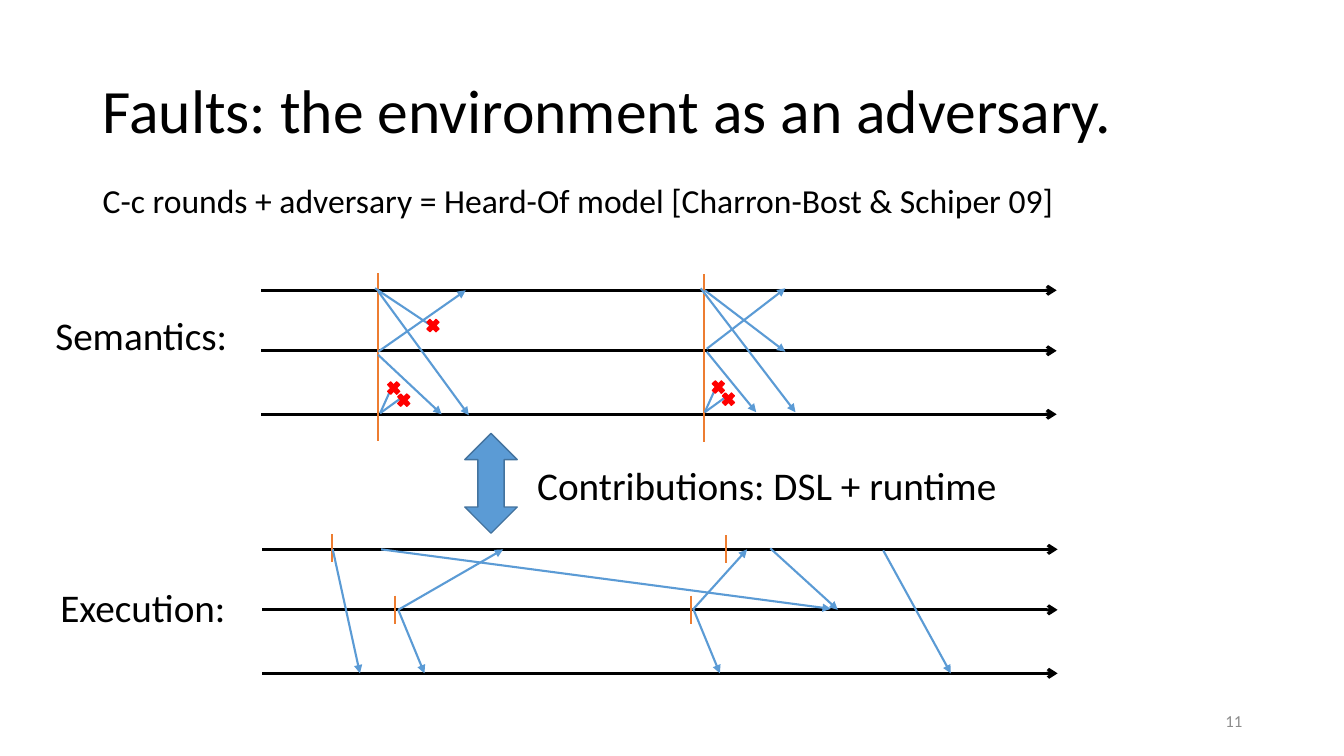
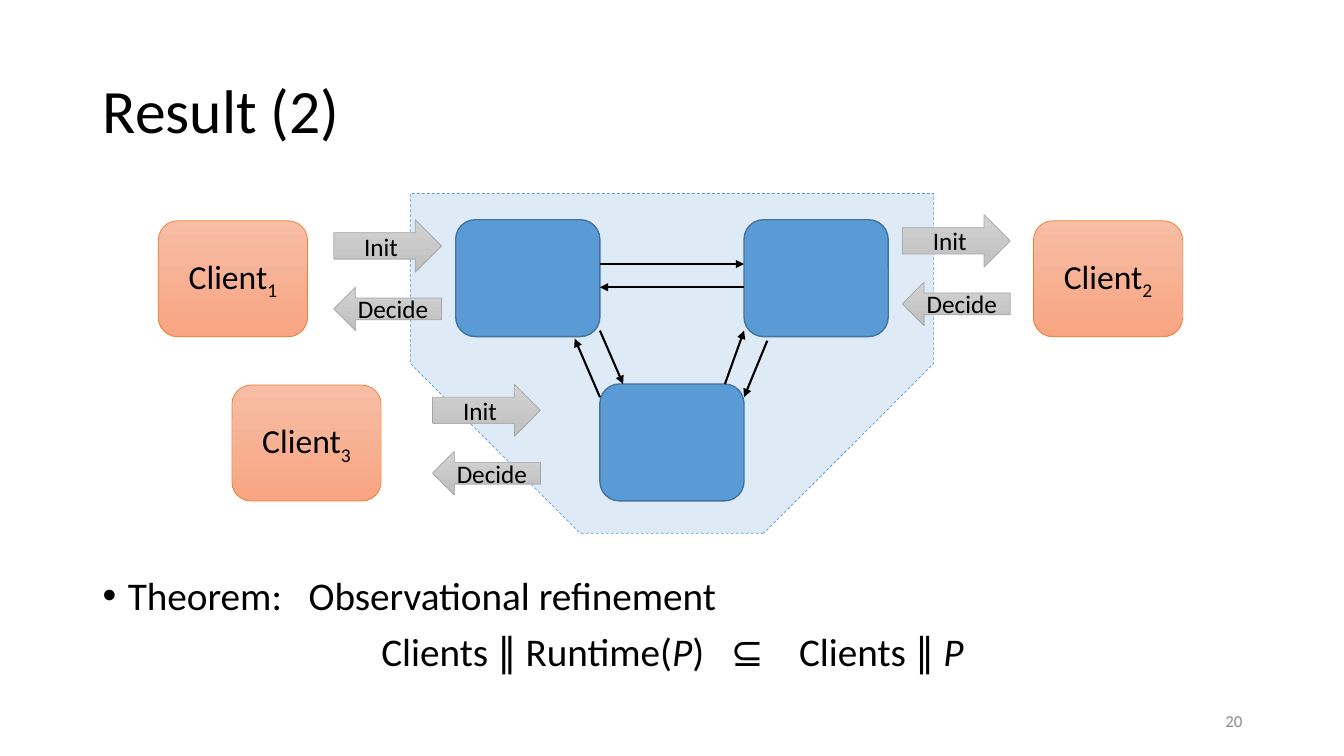
from lxml.etree import SubElement
from pptx import Presentation
from pptx.dml.color import RGBColor
from pptx.enum.dml import MSO_LINE
from pptx.enum.shapes import MSO_CONNECTOR, MSO_SHAPE
from pptx.enum.text import MSO_ANCHOR, MSO_AUTO_SIZE, PP_ALIGN
from pptx.oxml.ns import qn
from pptx.util import Inches, Pt

FONT = "Calibri"
BLACK = RGBColor(0x00, 0x00, 0x00)
GRAY = RGBColor(0x8C, 0x8C, 0x8C)
BLUE = RGBColor(0x5B, 0x9B, 0xD5)
DARK_BLUE = RGBColor(0x43, 0x73, 0x9E)
PALE_BLUE = RGBColor(0xDE, 0xEB, 0xF7)
ORANGE = RGBColor(0xED, 0x7D, 0x31)
RED = RGBColor(0xFF, 0x00, 0x00)
SILVER = RGBColor(0xA5, 0xA5, 0xA5)
CLIENT_FADE = (RGBColor(0xF7, 0xBD, 0xA5), RGBColor(0xF8, 0xA5, 0x82))
SIGNAL_FADE = (RGBColor(0xD2, 0xD2, 0xD2), RGBColor(0xC0, 0xC0, 0xC0))

ITALIC = {"i": "1"}
SUBSCRIPT = {"baseline": "-25000"}
NARROW_GAP = (" ", {"spc": "1270"})
WIDE_GAP = (" ", {"spc": "1900"})


def write(paragraph, pieces, size, color=BLACK, align=PP_ALIGN.LEFT):
    paragraph.alignment = align
    for text, marks in pieces:
        run = paragraph.add_run()
        run.text = text
        run.font.size = Pt(size)
        run.font.name = FONT
        run.font.color.rgb = color
        for mark, value in marks.items():
            run._r.get_or_add_rPr().set(mark, value)


def add_text(slide, box, paragraphs, size, color=BLACK, align=PP_ALIGN.LEFT,
             anchor=MSO_ANCHOR.TOP):
    frame = slide.shapes.add_textbox(*map(Inches, box)).text_frame
    frame.word_wrap = True
    frame.vertical_anchor = anchor
    for index, pieces in enumerate(paragraphs):
        paragraph = frame.add_paragraph() if index else frame.paragraphs[0]
        write(paragraph, pieces, size, color, align)
    return frame


def add_label(slide, box, text, size=28):
    frame = add_text(slide, box, [[(text, {})]], size)
    frame.word_wrap = False
    frame.auto_size = MSO_AUTO_SIZE.SHAPE_TO_FIT_TEXT


def add_figure(slide, preset, box, fill, outline, width=1.0):
    figure = slide.shapes.add_shape(preset, *map(Inches, box))
    figure.shadow.inherit = False
    if isinstance(fill, RGBColor):
        figure.fill.solid()
        figure.fill.fore_color.rgb = fill
    else:
        figure.fill.gradient()
        figure.fill.gradient_angle = 270
        for stop, color in zip(figure.fill.gradient_stops, fill):
            stop.color.rgb = color
    figure.line.color.rgb = outline
    figure.line.width = Pt(width)
    return figure


def add_caption(figure, pieces, size):
    frame = figure.text_frame
    frame.vertical_anchor = MSO_ANCHOR.MIDDLE
    write(frame.paragraphs[0], pieces, size, align=PP_ALIGN.CENTER)


def add_line(slide, ends, color, width=1.5, head=None):
    line = slide.shapes.add_connector(MSO_CONNECTOR.STRAIGHT, *map(Inches, ends))
    line.line.color.rgb = color
    line.line.width = Pt(width)
    if head:
        SubElement(line.line._get_or_add_ln(), qn("a:tailEnd"), type=head)
    SubElement(line._element.spPr, qn("a:effectLst"))


def add_messages(slide, messages, color=BLUE):
    for ends in messages:
        add_line(slide, ends, color, head="triangle")


def add_timelines(slide, left, top):
    for offset in (0, 0.6, 1.23):
        y = top + offset
        add_line(slide, (left, y, left + 7.89, y), BLACK, 2.25, "arrow")


def add_ticks(slide, ticks, height):
    for x, y in ticks:
        add_line(slide, (x, y, x, y + height), ORANGE)


def add_cross(slide, x, y):
    add_figure(slide, MSO_SHAPE.MATH_MULTIPLY, (x, y, 0.17, 0.18), RED, RED)


def add_lost_pair(slide, x, y):
    for dx, dy in ((0.09, 0.2), (0.22, 0.16)):
        add_line(slide, (x, y, x + dx, y - dy), BLUE)
    for dx, dy in ((0.15, 0.22), (0.05, 0.34)):
        add_cross(slide, x + dx, y - dy)


def add_client(slide, number, x, y):
    client = add_figure(slide, MSO_SHAPE.ROUNDED_RECTANGLE, (x, y, 1.48, 1.15),
                        CLIENT_FADE, ORANGE, 0.5)
    add_caption(client, [("Client", {}), (number, SUBSCRIPT)], 24)


def add_signals(slide, x, y):
    for preset, dy, height, text in ((MSO_SHAPE.RIGHT_ARROW, 0, 0.52, "Init"),
                                     (MSO_SHAPE.LEFT_ARROW, 0.67, 0.43, "Decide")):
        signal = add_figure(slide, preset, (x, y + dy, 1.07, height),
                            SIGNAL_FADE, SILVER, 0.5)
        add_caption(signal, [(text, {})], 18)


def start_slide(deck, title, number):
    slide = deck.slides.add_slide(deck.slide_layouts[6])
    heading = add_text(slide, (0.92, 0.4, 11.5, 1.45), [[(title, {})]], 44,
                       anchor=MSO_ANCHOR.MIDDLE)
    heading.paragraphs[0].line_spacing = 0.9
    add_text(slide, (9.42, 6.95, 3, 0.4), [[(number, {})]], 12, GRAY,
             PP_ALIGN.RIGHT, MSO_ANCHOR.MIDDLE)
    return slide


def build_faults(deck):
    slide = start_slide(deck, "Faults: the environment as an adversary.", "11")
    add_label(slide, (0.92, 1.74, 9.76, 0.5),
              "C-c rounds + adversary = Heard-Of model [Charron-Bost & Schiper 09]", 24)
    add_label(slide, (0.45, 3.04, 1.93, 0.57), "Semantics:")
    add_label(slide, (0.5, 5.74, 1.86, 0.57), "Execution:")
    add_label(slide, (5.23, 4.53, 4.81, 0.57), "Contributions: DSL + runtime")

    add_timelines(slide, 2.59, 2.88)
    add_ticks(slide, [(3.75, 2.71), (6.98, 2.72)], 1.67)
    add_messages(slide, [
        (3.75, 2.89, 4.65, 4.12), (3.75, 3.49, 4.62, 2.88),
        (3.75, 3.52, 4.38, 4.11), (6.95, 2.86, 7.89, 4.09),
        (7.01, 3.46, 7.79, 2.86), (7.01, 3.49, 7.5, 4.09),
        (6.99, 2.88, 7.79, 3.49)])
    add_line(slide, (3.72, 2.86, 4.29, 3.24), BLUE)
    add_cross(slide, 4.21, 3.14)
    add_lost_pair(slide, 3.77, 4.1)
    add_lost_pair(slide, 6.99, 4.09)

    add_figure(slide, MSO_SHAPE.UP_DOWN_ARROW, (4.61, 4.3, 0.52, 0.99), BLUE, DARK_BLUE)

    add_timelines(slide, 2.6, 5.45)
    add_ticks(slide, [(3.29, 5.3), (3.92, 5.91), (7.2, 5.31), (6.85, 5.91)], 0.28)
    add_messages(slide, [
        (3.3, 5.45, 3.57, 6.68), (3.78, 5.45, 8.24, 6.04),
        (3.95, 6.05, 4.21, 6.68), (3.95, 6.05, 4.99, 5.45),
        (6.88, 6.05, 7.14, 6.68), (6.87, 6.05, 7.41, 5.45),
        (7.64, 5.44, 8.31, 6.05), (8.76, 5.46, 9.43, 6.68)])


def build_result(deck):
    slide = start_slide(deck, "Result (2)", "20")
    runtime = add_figure(slide, MSO_SHAPE.SNIP_2_SAME_RECTANGLE,
                         (4.07, 1.92, 5.19, 3.37), PALE_BLUE, BLUE, 0.5)
    runtime.rotation = 180
    runtime.adjustments[0] = 0.5
    runtime.adjustments[1] = 0
    runtime.line.dash_style = MSO_LINE.DASH

    for x, y in ((4.52, 2.18), (7.38, 2.18), (5.95, 3.81)):
        add_figure(slide, MSO_SHAPE.ROUNDED_RECTANGLE, (x, y, 1.43, 1.16),
                   BLUE, DARK_BLUE)
    add_messages(slide, [
        (5.95, 2.62, 7.38, 2.62), (7.38, 2.85, 5.95, 2.85),
        (5.95, 3.28, 6.18, 3.81), (5.95, 3.94, 5.7, 3.36),
        (7.19, 3.81, 7.38, 3.28), (7.61, 3.38, 7.38, 3.94)], BLACK)

    for number, x, y in (("1", 1.57, 2.19), ("2", 10.25, 2.19), ("3", 2.3, 3.82)):
        add_client(slide, number, x, y)
    for x, y in ((3.31, 2.18), (8.95, 2.13), (4.29, 3.81)):
        add_signals(slide, x, y)

    theorem = add_text(slide, (0.92, 5.67, 11.5, 1.34), [
        [("Theorem:", {}), NARROW_GAP, ("Observational refinement", {})],
        [("Clients ∥ Runtime(", {}), ("P", ITALIC), (")", {}), NARROW_GAP,
         ("⊆", {}), WIDE_GAP, ("Clients ∥ ", {}), ("P", ITALIC)]], 28)
    for paragraph in theorem.paragraphs:
        paragraph.line_spacing = 0.9
        paragraph.space_before = Pt(10)
    statement, formula = theorem.paragraphs
    formula.alignment = PP_ALIGN.CENTER
    indent = statement._p.get_or_add_pPr()
    indent.set("marL", str(Inches(0.25)))
    indent.set("indent", str(-Inches(0.25)))
    SubElement(indent, qn("a:buFont"), typeface="Arial")
    SubElement(indent, qn("a:buChar"), char="•")


def main():
    deck = Presentation()
    deck.slide_width = Inches(13.33)
    deck.slide_height = Inches(7.5)
    build_faults(deck)
    build_result(deck)
    deck.save("out.pptx")


main()
